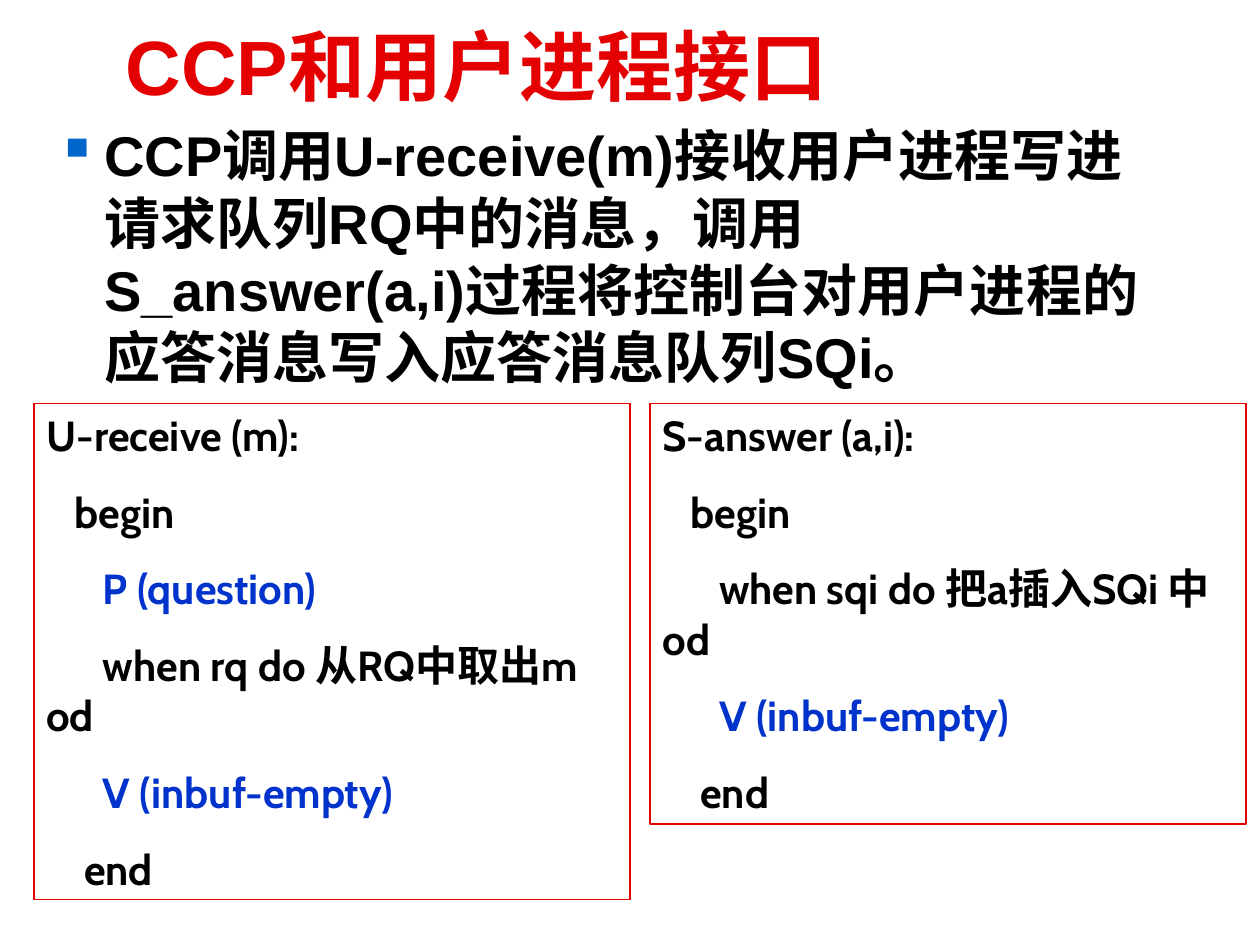
"""Build the slide on the interface between CCP and user processes."""
from dataclasses import dataclass

from lxml.etree import SubElement
from pptx import Presentation
from pptx.dml.color import RGBColor
from pptx.enum.shapes import MSO_SHAPE
from pptx.enum.text import MSO_ANCHOR, MSO_AUTO_SIZE, PP_ALIGN
from pptx.oxml.ns import qn
from pptx.util import Inches, Pt


@dataclass(frozen=True)
class Theme:
    red: str = "E40000"
    black: str = "000000"
    blue: str = "0033CC"
    bullet: str = "0066CC"
    paper: str = "FFFFFF"
    prose_font: str = "Arial"
    code_font: str = "Cabin"
    title_size: int = 44
    body_size: int = 32
    code_size: int = 24
    code_gap: int = 15
    border: float = 0.75


THEME = Theme()
COLUMNS, ROWS = 100, 75
WIDTH, HEIGHT = Inches(10), Inches(7.5)
CODE_LEFT, CODE_TOP, CODE_WIDTH, CODE_PITCH = 2.7, 32, 47.3, 48.9

TITLE = "CCP和用户进程接口"
BODY = ("CCP调用U-receive(m)接收用户进程写进请求队列RQ中的消息，"
        "调用S_answer(a,i)过程将控制台对用户进程的应答消息写入应答消息队列SQi。")
PROCEDURES = [
    (39.4, ["U-receive (m):",
            "   begin",
            "      P (question)",
            "      when rq do 从RQ中取出m  od",
            "      V (inbuf-empty)",
            "    end"]),
    (33.4, ["S-answer (a,i):",
            "   begin",
            "      when sqi do 把a插入SQi 中  od",
            "      V (inbuf-empty)",
            "    end"]),
]


def on_grid(left, top, width, height):
    column, row = WIDTH / COLUMNS, HEIGHT / ROWS
    return (round(left * column), round(top * row),
            round(width * column), round(height * row))


def set_font(paragraph, name, size, color):
    font = paragraph.font
    font.name, font.size, font.bold = name, Pt(size), True
    font.color.rgb = RGBColor.from_string(color)


def add_title(slide):
    title = slide.shapes.add_textbox(*on_grid(9, -0.3, 78.9, 10.8))
    title.fill.solid()
    title.fill.fore_color.rgb = RGBColor.from_string(THEME.paper)
    frame = title.text_frame
    frame.word_wrap = True
    frame.vertical_anchor = MSO_ANCHOR.MIDDLE
    frame.text = TITLE
    set_font(frame.paragraphs[0], THEME.prose_font, THEME.title_size, THEME.red)


def add_bullet(paragraph, symbol, color, indent):
    properties = paragraph._p.get_or_add_pPr()
    properties.set("marL", str(indent))
    properties.set("indent", str(-indent))
    bullet_color = SubElement(properties, qn("a:buClr"))
    SubElement(bullet_color, qn("a:srgbClr"), val=color)
    SubElement(properties, qn("a:buChar"), char=symbol)


def add_body(slide):
    frame = slide.shapes.add_textbox(*on_grid(3.5, 9.1, 90, 23)).text_frame
    frame.word_wrap = True
    frame.text = BODY
    summary = frame.paragraphs[0]
    add_bullet(summary, "▪", THEME.bullet, Inches(0.38))
    set_font(summary, THEME.prose_font, THEME.body_size, THEME.black)


def add_procedure(slide, position, height, lines):
    procedure = slide.shapes.add_shape(
        MSO_SHAPE.RECTANGLE,
        *on_grid(CODE_LEFT + position * CODE_PITCH, CODE_TOP, CODE_WIDTH, height))
    procedure.shadow.inherit = False
    procedure.fill.background()
    procedure.line.color.rgb = RGBColor.from_string(THEME.red)
    procedure.line.width = Pt(THEME.border)
    frame = procedure.text_frame
    frame.word_wrap = True
    frame.auto_size = MSO_AUTO_SIZE.SHAPE_TO_FIT_TEXT
    frame.vertical_anchor = MSO_ANCHOR.TOP
    frame.text = "\n".join(lines)
    for number, line in enumerate(frame.paragraphs):
        is_semaphore = line.text.lstrip().startswith(("P (", "V ("))
        line.alignment = PP_ALIGN.LEFT
        line.space_before = Pt(THEME.code_gap if number else 0)
        set_font(line, THEME.code_font, THEME.code_size,
                 THEME.blue if is_semaphore else THEME.black)


def main():
    presentation = Presentation()
    presentation.slide_width, presentation.slide_height = WIDTH, HEIGHT
    slide = presentation.slides.add_slide(presentation.slide_layouts[6])
    add_title(slide)
    add_body(slide)
    for position, (height, lines) in enumerate(PROCEDURES):
        add_procedure(slide, position, height, lines)
    presentation.save("out.pptx")


if __name__ == "__main__":
    main()
